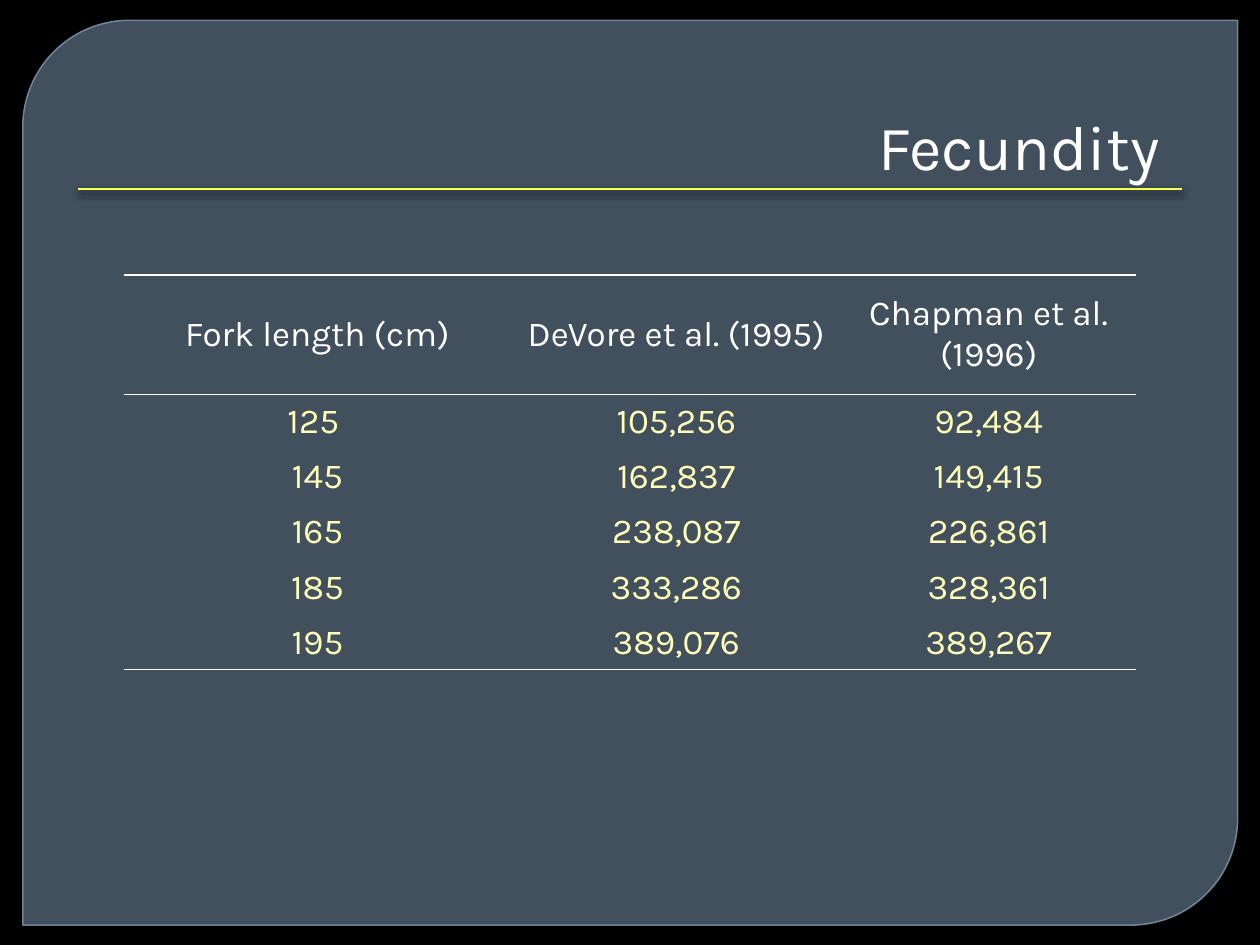
"""Build the fecundity slide: a rounded panel, a ruled title and a table."""
from dataclasses import dataclass

from lxml import etree
from pptx import Presentation
from pptx import util as u
from pptx.dml.color import RGBColor
from pptx.enum import shapes, text
from pptx.oxml import ns


@dataclass(frozen=True)
class Theme:
    """Colours, font and type sizes."""
    back: str = "000000"
    panel: str = "647B8E"
    panel_edge: str = "7B91A4"
    rule: str = "FFFF51"
    light: str = "FFFFFF"
    figure: str = "FFFFB9"
    font: str = "Karla"
    title_size: int = 36
    table_size: int = 20


def add_child(parent, tag, **attributes):
    """Append a DrawingML element and return it."""
    child = etree.SubElement(parent, ns.qn(tag))
    for name, value in attributes.items():
        child.set(name, str(value))
    return child


class SlideBuilder:
    """Draw styled elements on the current slide."""

    def __init__(self, slide, theme):
        """Keep the slide and theme and paint the background."""
        self.slide, self.theme = slide, theme
        self.paint(slide.background.fill, theme.back)

    def paint(self, fill, colour):
        """Give a fill one solid colour."""
        fill.solid()
        fill.fore_color.rgb = RGBColor.from_string(colour)

    def set_text(self, frame, words, size, colour, align):
        """Set one styled paragraph in a text frame."""
        para = frame.paragraphs[0]
        para.text, para.alignment = words, align
        para.font.name, para.font.size = self.theme.font, u.Pt(size)
        para.font.color.rgb = RGBColor.from_string(colour)

    def panel(self, left, top, width, height):
        """Draw the translucent panel with two round corners."""
        panel = self.slide.shapes.add_shape(
            shapes.MSO_SHAPE.ROUND_2_DIAG_RECTANGLE,
            u.Cm(left), u.Cm(top), u.Cm(width), u.Cm(height))
        panel.shadow.inherit = False
        panel.adjustments[0], panel.adjustments[1] = 0.118, 0
        self.paint(panel.fill, self.theme.panel)
        self.paint(panel.line.fill, self.theme.panel_edge)
        panel.line.width = u.Pt(0.87)
        colours = panel.element.spPr.iter(ns.qn("a:srgbClr"))
        for colour, opacity in zip(list(colours), (65, 88)):
            add_child(colour, "a:alpha", val=opacity * 1000)

    def title(self, words, left, top, width, height):
        """Set the right-aligned title."""
        box = self.slide.shapes.add_textbox(
            u.Cm(left), u.Cm(top), u.Cm(width), u.Cm(height))
        frame = box.text_frame
        frame.word_wrap = True
        frame.vertical_anchor = text.MSO_ANCHOR.BOTTOM
        self.set_text(frame, words, self.theme.title_size, self.theme.light,
                      text.PP_ALIGN.RIGHT)

    def rule(self, left, right, top):
        """Draw the title rule with its soft shadow."""
        rule = self.slide.shapes.add_connector(
            shapes.MSO_CONNECTOR.STRAIGHT,
            u.Cm(left), u.Cm(top), u.Cm(right), u.Cm(top))
        self.paint(rule.line.fill, self.theme.rule)
        rule.line.width = u.Pt(1.15)
        effects = add_child(rule.element.spPr, "a:effectLst")
        shadow = add_child(effects, "a:outerShdw", blurRad=u.Pt(4),
                           dist=u.Pt(2), dir=90 * 60000, rotWithShape=0)
        add_child(shadow, "a:srgbClr", val="000000")

    def borders(self, cell, sides):
        """Rule the named sides of a cell and clear the others."""
        properties = cell._tc.get_or_add_tcPr()
        for position, side in enumerate("LRTB"):
            line = add_child(properties, f"a:ln{side}", w=u.Pt(1))
            properties.insert(position, line)
            if side in sides:
                fill = add_child(line, "a:solidFill")
                add_child(fill, "a:srgbClr", val=self.theme.light)
            else:
                add_child(line, "a:noFill")

    def table(self, rows, left, top, widths, heights):
        """Draw a table ruled around its header and at its foot."""
        table = self.slide.shapes.add_table(
            len(rows), len(widths), u.Cm(left), u.Cm(top),
            u.Cm(sum(widths)), u.Cm(sum(heights))).table
        table.first_row = table.horz_banding = False
        for column, width in zip(table.columns, widths):
            column.width = u.Cm(width)
        sides = {0: "TB", 1: "T", len(rows) - 1: "B"}
        for index, (values, height) in enumerate(zip(rows, heights)):
            table.rows[index].height = u.Cm(height)
            header = index == 0
            for cell, words in zip(table.rows[index].cells, values):
                cell.fill.background()
                cell.vertical_anchor = (text.MSO_ANCHOR.MIDDLE if header
                                        else text.MSO_ANCHOR.BOTTOM)
                self.set_text(
                    cell.text_frame, words, self.theme.table_size,
                    self.theme.light if header else self.theme.figure,
                    text.PP_ALIGN.CENTER)
                self.borders(cell, sides.get(index, ""))


FECUNDITY = [
    ("Fork length (cm)", "DeVore et al. (1995)", "Chapman et al. (1996)"),
    ("125 ", "105,256", "92,484"),
    ("145", "162,837", "149,415"),
    ("165", "238,087", "226,861"),
    ("185", "333,286", "328,361"),
    ("195", "389,076", "389,267"),
]


def main():
    """Build and save the deck."""
    deck = Presentation()
    deck.slide_width, deck.slide_height = u.Cm(25.4), u.Cm(19.05)
    page = SlideBuilder(deck.slides.add_slide(deck.slide_layouts[6]), Theme())
    page.panel(0.46, 0.41, 24.49, 18.24)
    page.title("Fecundity ", 2.34, 0.64, 21.59, 3.18)
    page.rule(1.58, 23.82, 3.81)
    page.table(FECUNDITY, 2.49, 5.54, (7.82, 6.65, 5.94),
               (2.41, 1.07, 1.07, 1.07, 1.14, 1.07))
    deck.save("out.pptx")


if __name__ == "__main__":
    main()
